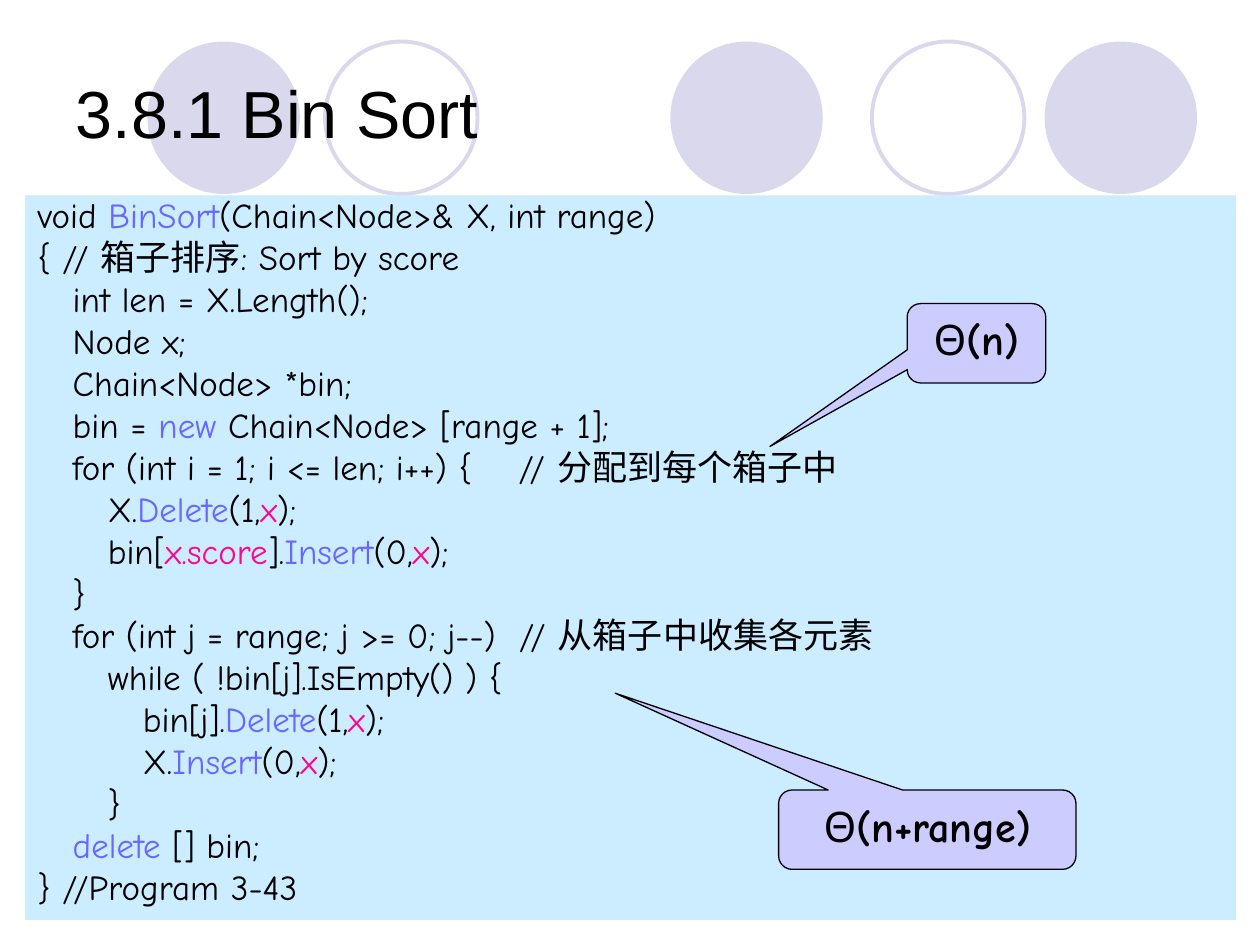
from dataclasses import dataclass

from pptx import Presentation
from pptx import util as u
from pptx.dml.color import RGBColor
from pptx.enum import shapes, text
from pptx.oxml.ns import qn


@dataclass(frozen=True)
class Theme:
    """Colours, fonts and type sizes of the slide."""
    ink: str = "000000"
    keyword: str = "6767FF"
    variable: str = "FA0691"
    circle: str = "D9D8EC"
    panel: str = "CCECFF"
    callout: str = "CCCCFF"
    title_font: str = "Arial"
    code_font: str = "Comic Neue"
    title_size: float = 38
    code_size: float = 20
    callout_size: float = 24


VARIABLES = {"x", "x.score"}
CODE_LINES = [
    "void |BinSort|(Chain<Node>& X, int range)",
    "{ // 箱子排序: Sort by score",
    "   int len = X.Length();",
    "   Node x;",
    "   Chain<Node> *bin;",
    "   bin = |new| Chain<Node> [range + 1];",
    "   for (int i = 1; i <= len; i++) {    // 分配到每个箱子中",
    "      X.|Delete|(1,|x|);",
    "      bin[|x.score|].|Insert|(0,|x|);",
    "   }",
    "   for (int j = range; j >= 0; j--)  // 从箱子中收集各元素",
    "      while ( !bin[j].IsEmpty() ) {",
    "         bin[j].|Delete|(1,|x|);",
    "         X.|Insert|(0,|x|);",
    "      }",
    "   |delete| [] bin;",
    "} //Program 3-43",
]
CIRCLES = [(1.17, True), (2.58, False), (5.32, True), (6.92, False), (8.29, True)]
CALLOUTS = [
    ((7.2, 2.41, 1.1, 0.63), (-1.49, 1.3, 0.17), "(n)"),
    ((6.18, 6.27, 2.36, 0.63), (-1.05, -1.72, 0.17), "(n+range)"),
]


class SlideBuilder:
    """Draws themed elements on one slide."""

    def __init__(self, slide, theme):
        self.slide = slide
        self.theme = theme

    def add_run(self, paragraph, words, font, size, color, bold=False):
        run = paragraph.add_run()
        run.text = words
        run.font.name = font
        run.font.size = u.Pt(size)
        run.font.bold = bold
        run.font.color.rgb = RGBColor.from_string(color)

    def add_shape(self, kind, box, fill=None, line=None, width=0.75):
        shape = self.slide.shapes.add_shape(kind, *map(u.Inches, box))
        shape.shadow.inherit = False
        if fill:
            shape.fill.solid()
            shape.fill.fore_color.rgb = RGBColor.from_string(fill)
        else:
            shape.fill.background()
        if line:
            shape.line.color.rgb = RGBColor.from_string(line)
            shape.line.width = u.Pt(width)
        else:
            shape.line.fill.background()
        return shape

    def add_circle(self, left, filled):
        color = self.theme.circle
        self.add_shape(shapes.MSO_SHAPE.OVAL, (left, 0.33, 1.21, 1.21),
                       fill=color if filled else None,
                       line=None if filled else color, width=2.25)

    def add_title(self, words):
        title = self.slide.shapes.title
        title.element.getparent().append(title.element)
        title.left, title.top, title.width, title.height = map(u.Inches, (0.5, 0.3, 9, 1.25))
        title.text_frame.vertical_anchor = text.MSO_ANCHOR.MIDDLE
        paragraph = title.text_frame.paragraphs[0]
        paragraph.alignment = text.PP_ALIGN.LEFT
        paragraph.line_spacing = 0.9
        self.add_run(paragraph, words, self.theme.title_font, self.theme.title_size, self.theme.ink)

    def add_code(self, lines, box):
        theme = self.theme
        panel = self.slide.shapes.add_textbox(*map(u.Inches, box))
        panel.fill.solid()
        panel.fill.fore_color.rgb = RGBColor.from_string(theme.panel)
        frame = panel.text_frame
        frame.word_wrap = True
        for index, line in enumerate(lines):
            paragraph = frame.add_paragraph() if index else frame.paragraphs[0]
            paragraph.line_spacing = 0.8
            paragraph.space_before = u.Pt(4.8 if index else 0)
            properties = paragraph._p.get_or_add_pPr()
            properties.set("marL", str(u.Inches(0.38)))
            properties.set("indent", str(u.Inches(-0.38)))
            for position, piece in enumerate(line.split("|")):
                color = theme.ink
                if position % 2:
                    color = theme.variable if piece in VARIABLES else theme.keyword
                self.add_run(paragraph, piece, theme.code_font, theme.code_size, color)

    def add_callout(self, box, adjustments, argument):
        theme = self.theme
        shape = self.add_shape(shapes.MSO_SHAPE.ROUNDED_RECTANGULAR_CALLOUT, box,
                               fill=theme.callout, line=theme.ink)
        for index, value in enumerate(adjustments):
            shape.adjustments[index] = value
        shape.text_frame.vertical_anchor = text.MSO_ANCHOR.TOP
        paragraph = shape.text_frame.paragraphs[0]
        paragraph.alignment = text.PP_ALIGN.CENTER
        for words, bold in (("Θ", False), (argument, True)):
            self.add_run(paragraph, words, theme.code_font, theme.callout_size, theme.ink, bold)


def main():
    presentation = Presentation()
    presentation.slide_width = u.Inches(10)
    presentation.slide_height = u.Inches(7.5)
    slide = presentation.slides.add_slide(presentation.slide_layouts.get_by_name("Title Only"))
    builder = SlideBuilder(slide, Theme())
    for left, filled in CIRCLES:
        builder.add_circle(left, filled)
    builder.add_title("3.8.1 Bin Sort")
    builder.add_code(CODE_LINES, (0.2, 1.55, 9.61, 5.75))
    for box, adjustments, argument in CALLOUTS:
        builder.add_callout(box, adjustments, argument)
    presentation.save("out.pptx")


if __name__ == "__main__":
    main()
